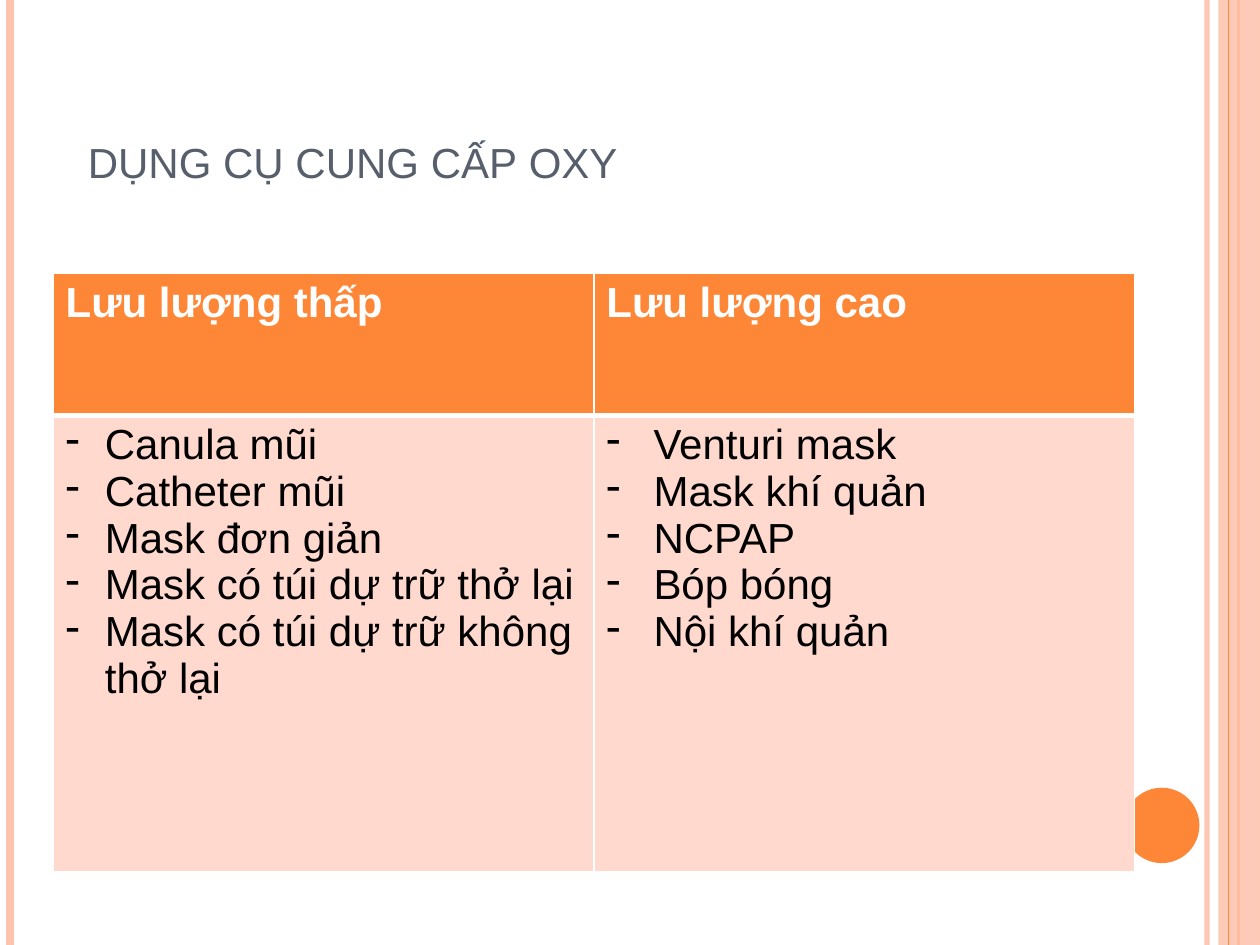
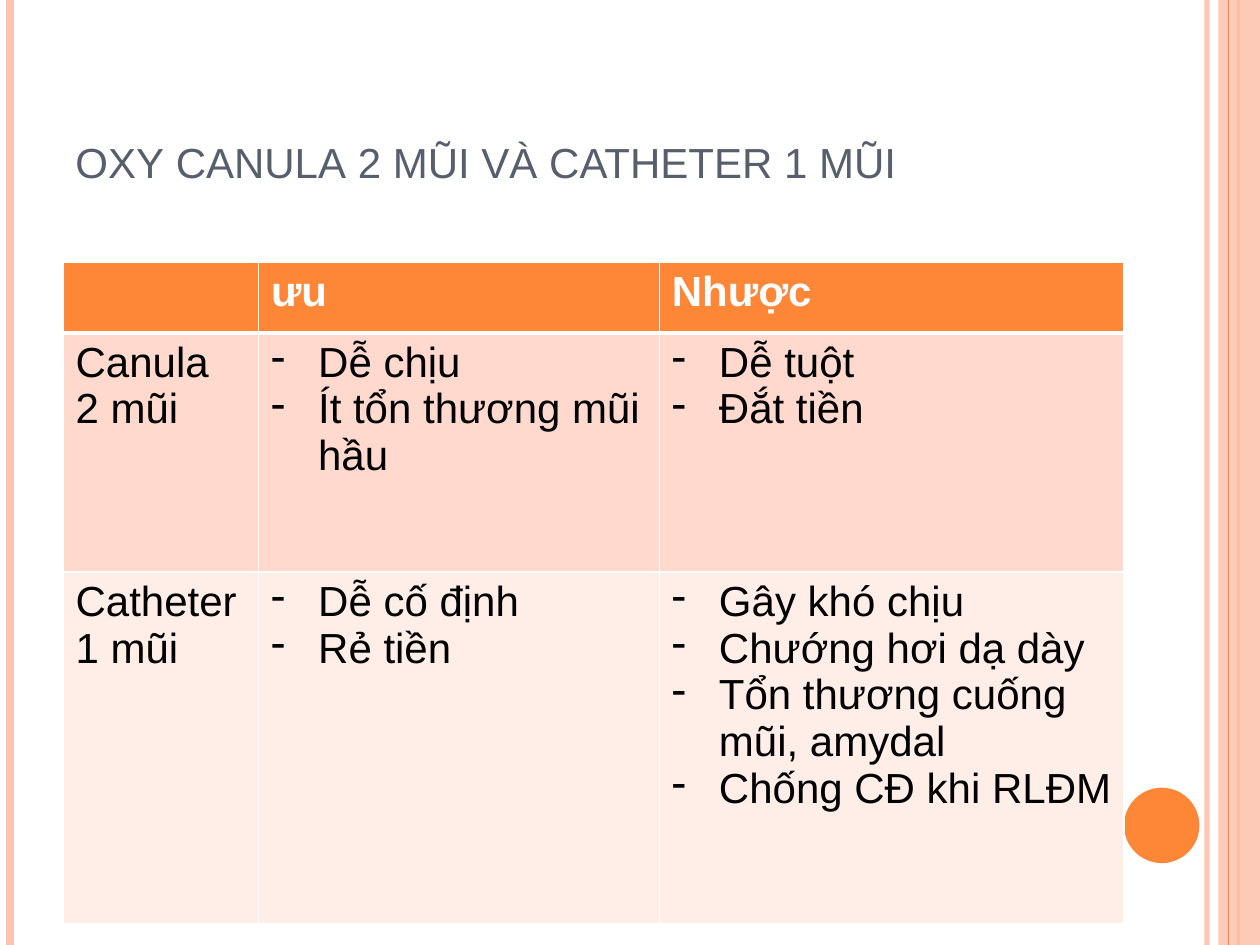
from lxml import etree
from pptx import Presentation
from pptx.dml.color import RGBColor
from pptx.enum import shapes, text
from pptx.oxml import ns
from pptx.util import Cm, Pt

COLORS = {
    "orange": "FE8637",
    "peach": "FEC3AE",
    "row_dark": "FFD9CE",
    "row_light": "FFEDE8",
    "title": "575F6D",
    "white": "FFFFFF",
    "black": "000000",
}
FONT = "Arial"
TITLE_SIZE, TABLE_SIZE = Pt(30), Pt(24)
WIDTH, HEIGHT = Cm(25.4), Cm(19.05)
WIDE_INDENT, NARROW_INDENT = Cm(0.95), Cm(0.79)


def rgb(name):
    return RGBColor.from_string(COLORS[name])


def add_child(parent, tag, **attributes):
    return etree.SubElement(parent, ns.qn(tag), attributes)


def set_opacity(element, percent):
    color = next(element.iter(ns.qn("a:srgbClr")))
    add_child(color, "a:alpha", val=str(percent * 1000))


class SlideBuilder:
    def __init__(self):
        self.deck = Presentation()
        self.deck.slide_width, self.deck.slide_height = WIDTH, HEIGHT
        self.page = None

    def start_page(self, title, title_inset=Cm(0.25)):
        self.page = self.deck.slides.add_slide(self.deck.slide_layouts[5])
        self.rule(Cm(24.33), "peach", 3, opacity=93)
        self.rule(Cm(0.2), "peach", 4.5)
        self.rule(Cm(24.97), "orange", 1.5)
        band = self.shape(shapes.MSO_SHAPE.RECTANGLE, Cm(24.56), 0,
                          Cm(0.84), HEIGHT, "peach")
        set_opacity(band._element, 87)
        self.rule(Cm(24.77), "orange", 0.75)
        self.shape(shapes.MSO_SHAPE.OVAL, Cm(22.66), Cm(15.88),
                   Cm(1.52), Cm(1.52), "orange")
        self.title(title, title_inset)

    def rule(self, x, color, weight, opacity=None):
        """Draw a vertical line over the full slide height."""
        line = self.page.shapes.add_connector(
            shapes.MSO_CONNECTOR.STRAIGHT, x, 0, x, HEIGHT)
        line.line.color.rgb = rgb(color)
        line.line.width = Pt(weight)
        if opacity:
            set_opacity(line._element, opacity)
        add_child(line._element.spPr, "a:effectLst")

    def shape(self, kind, left, top, width, height, color):
        shape = self.page.shapes.add_shape(kind, left, top, width, height)
        shape.shadow.inherit = False
        shape.fill.solid()
        shape.fill.fore_color.rgb = rgb(color)
        shape.line.fill.background()
        return shape

    def title(self, wording, inset):
        box = self.page.shapes.title
        box.left, box.top, box.width, box.height = (
            Cm(1.27), Cm(0.76), Cm(20.75), Cm(3.18))
        frame = box.text_frame
        frame.text = wording
        frame.word_wrap = True
        frame.auto_size = text.MSO_AUTO_SIZE.NONE
        frame.vertical_anchor = text.MSO_ANCHOR.BOTTOM
        frame.margin_left = inset
        para = frame.paragraphs[0]
        para.alignment = text.PP_ALIGN.LEFT
        self.style(para, TITLE_SIZE, "title")
        para._p.get_or_add_pPr().get_or_add_defRPr().set("cap", "small")

    def style(self, para, size, color, bold=False):
        font = para.font
        font.name, font.size, font.bold = FONT, size, bold
        font.color.rgb = rgb(color)

    def table(self, left, top, widths, heights, rows, indents):
        """Lists become dashed items; strings become plain lines."""
        grid = self.page.shapes.add_table(
            len(rows), len(widths), left, top, sum(widths), sum(heights)).table
        for column, width in zip(grid.columns, widths):
            column.width = width
        for row, height in zip(grid.rows, heights):
            row.height = height
        for r, row in enumerate(rows):
            for c, content in enumerate(row):
                self.cell(grid.cell(r, c), r, content, indents[c])

    def cell(self, cell, row, content, indent):
        self.borders(cell, row)
        cell.fill.solid()
        cell.fill.fore_color.rgb = rgb(("orange", "row_dark", "row_light")[row])
        dashed = isinstance(content, list)
        cell.text = "\n".join(content) if dashed else content
        for para in cell.text_frame.paragraphs:
            if dashed:
                self.dash(para, indent)
            self.style(para, TABLE_SIZE, "black" if row else "white", bold=row == 0)

    def borders(self, cell, row):
        thick_side = {0: "B", 1: "T"}.get(row)
        properties = cell._tc.get_or_add_tcPr()
        for side in "LRTB":
            weight = Pt(3 if side == thick_side else 1)
            line = add_child(properties, f"a:ln{side}", w=str(weight))
            fill = add_child(line, "a:solidFill")
            add_child(fill, "a:srgbClr", val=COLORS["white"])

    def dash(self, para, indent):
        properties = para._p.get_or_add_pPr()
        properties.set("marL", str(indent))
        properties.set("indent", str(-indent))
        add_child(properties, "a:buFontTx")
        add_child(properties, "a:buChar", char="-")


def main():
    builder = SlideBuilder()

    builder.start_page("dụng cụ cung cấp oxy", title_inset=Cm(0.5))
    builder.table(
        Cm(1.07), Cm(5.5), [Cm(10.9)] * 2, [Cm(2.87), Cm(9.2)],
        [
            ["Lưu lượng thấp", "Lưu lượng cao"],
            [
                ["Canula mũi", "Catheter mũi", "Mask đơn giản",
                 "Mask có túi dự trữ thở lại",
                 "Mask có túi dự trữ không thở lại"],
                ["Venturi mask", "Mask khí quản", "NCPAP", "Bóp bóng",
                 "Nội khí quản"],
            ],
        ],
        [NARROW_INDENT, WIDE_INDENT])

    builder.start_page("oxy canula 2 mũi và catheter 1 mũi")
    builder.table(
        Cm(1.27), Cm(5.29), [Cm(3.94), Cm(8.08), Cm(9.37)],
        [Cm(1.42), Cm(4.82), Cm(7.09)],
        [
            ["", "ưu", "Nhược"],
            ["Canula\n2 mũi", ["Dễ chịu", "Ít tổn thương mũi hầu"],
             ["Dễ tuột", "Đắt tiền"]],
            ["Catheter 1 mũi", ["Dễ cố định", "Rẻ tiền"],
             ["Gây khó chịu", "Chướng hơi dạ dày",
              "Tổn thương cuống mũi, amydal", "Chống CĐ khi RLĐM"]],
        ],
        [WIDE_INDENT] * 3)

    builder.deck.save("out.pptx")


if __name__ == "__main__":
    main()
